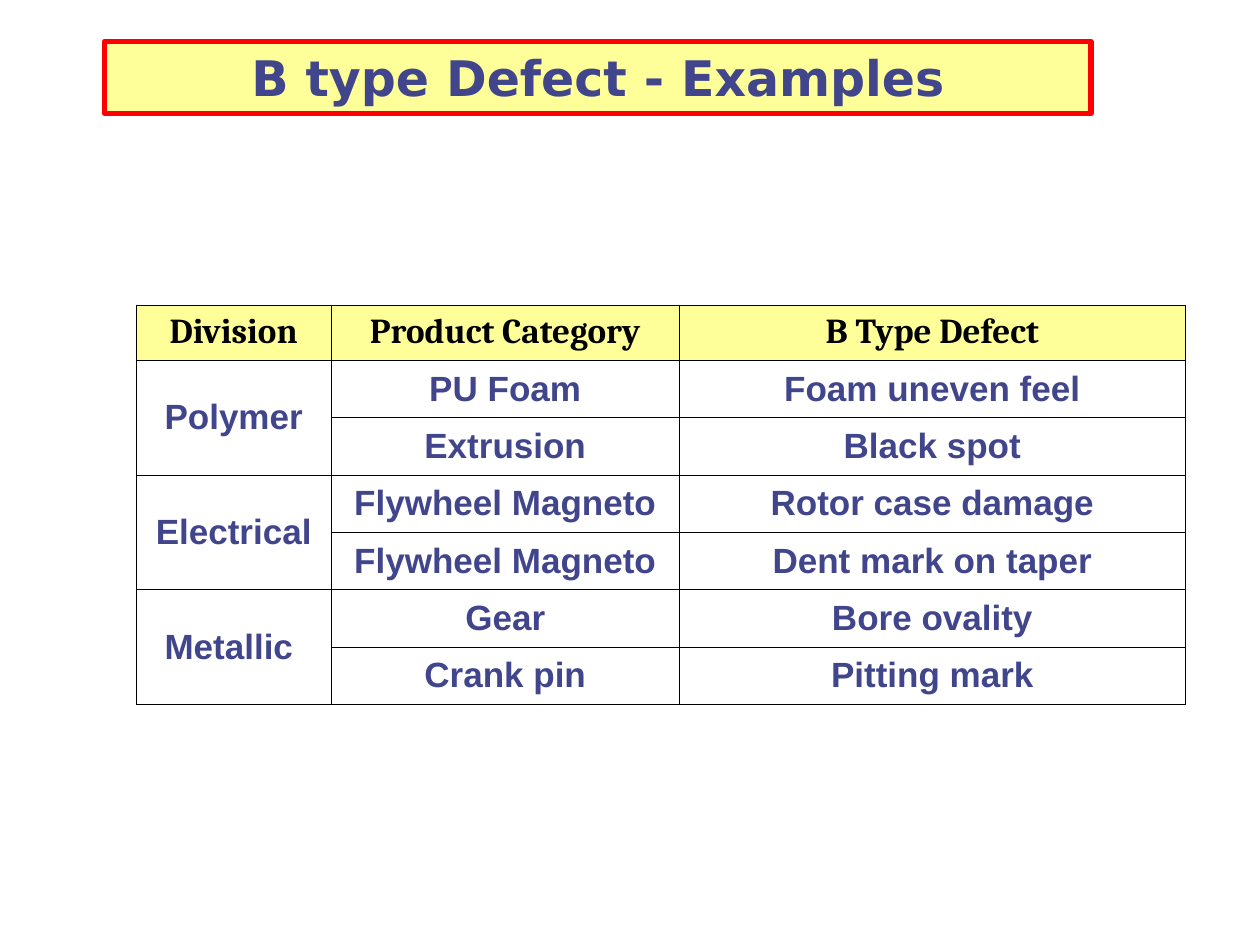
from lxml import etree
from pptx import Presentation
from pptx.dml.color import RGBColor
from pptx.enum.shapes import MSO_SHAPE
from pptx.enum.text import MSO_ANCHOR, MSO_AUTO_SIZE, PP_ALIGN
from pptx.oxml.ns import qn
from pptx.util import Inches, Pt

RECTANGLE = MSO_SHAPE.RECTANGLE
CENTER = PP_ALIGN.CENTER
TOP = MSO_ANCHOR.TOP
MIDDLE = MSO_ANCHOR.MIDDLE
GROW = MSO_AUTO_SIZE.SHAPE_TO_FIT_TEXT

BLACK = RGBColor(0x00, 0x00, 0x00)
RED = RGBColor(0xFF, 0x00, 0x00)
YELLOW = RGBColor(0xFF, 0xFF, 0x99)
INDIGO = RGBColor(0x40, 0x45, 0x8C)

HEADERS = ["Division", "Product Category", "B Type Defect"]
DIVISIONS = {
    "Polymer": [("PU Foam", "Foam uneven feel"), ("Extrusion", "Black spot")],
    "Electrical": [
        ("Flywheel Magneto", "Rotor case damage"),
        ("Flywheel Magneto", "Dent mark on taper"),
    ],
    "Metallic ": [("Gear", "Bore ovality"), ("Crank pin", "Pitting mark")],
}
COLUMN_WIDTHS = [Inches(1.55), Inches(2.76), Inches(4.02)]
HEADER_HEIGHT = Inches(0.44)
BODY_HEIGHT = Inches(2.73)


class DefectSlide:
    title_font = "DejaVu Sans"
    header_font = "Cambria"
    body_font = "Arial"
    title_size = Pt(28)
    table_size = Pt(20)
    border_width = Pt(0.23)

    def __init__(self, page):
        self.page = page

    def set_text(self, frame, text, font, size, color):
        frame.text = text
        para = frame.paragraphs[0]
        para.alignment = CENTER
        for span in para.runs:
            span.font.name = font
            span.font.size = size
            span.font.bold = True
            span.font.color.rgb = color

    def title(self, text, left, top, width, height):
        box = self.page.shapes.add_shape(RECTANGLE, left, top, width, height)
        box.shadow.inherit = False
        box.fill.solid()
        box.fill.fore_color.rgb = YELLOW
        box.line.color.rgb = RED
        box.line.width = Pt(3)
        frame = box.text_frame
        frame.word_wrap = True
        frame.auto_size = GROW
        frame.vertical_anchor = TOP
        self.set_text(frame, text, self.title_font, self.title_size, INDIGO)

    def border(self, cell):
        properties = cell._tc.get_or_add_tcPr()
        for side in ("lnL", "lnR", "lnT", "lnB"):
            line = etree.SubElement(
                properties, qn(f"a:{side}"), w=str(self.border_width)
            )
            fill = etree.SubElement(line, qn("a:solidFill"))
            etree.SubElement(fill, qn("a:srgbClr"), val=str(BLACK))

    def style_cell(self, cell, is_header):
        cell.margin_left = cell.margin_right = Inches(0.01)
        cell.margin_top = cell.margin_bottom = Inches(0.05)
        cell.vertical_anchor = MIDDLE
        self.border(cell)
        if is_header:
            cell.fill.solid()
            cell.fill.fore_color.rgb = YELLOW
        else:
            cell.fill.background()

    def table(self, headers, divisions, left, top):
        """Draw one merged division cell beside each group of defects."""
        body_count = sum(len(defects) for defects in divisions.values())
        table = self.page.shapes.add_table(
            body_count + 1, len(headers), left, top,
            sum(COLUMN_WIDTHS), HEADER_HEIGHT + BODY_HEIGHT,
        ).table
        for column, width in zip(table.columns, COLUMN_WIDTHS):
            column.width = width
        for index, row in enumerate(table.rows):
            row.height = BODY_HEIGHT // body_count if index else HEADER_HEIGHT
            for cell in row.cells:
                self.style_cell(cell, index == 0)

        for column, text in enumerate(headers):
            self.set_text(table.cell(0, column).text_frame, text,
                          self.header_font, self.table_size, BLACK)
        first = 1
        for division, defects in divisions.items():
            last = first + len(defects) - 1
            table.cell(first, 0).merge(table.cell(last, 0))
            entries = [(first, 0, division)]
            for row, names in enumerate(defects, first):
                entries += [(row, column, name) for column, name in enumerate(names, 1)]
            for row, column, text in entries:
                self.set_text(table.cell(row, column).text_frame, text,
                              self.body_font, self.table_size, INDIGO)
            first = last + 1


def main():
    deck = Presentation()
    deck.slide_width, deck.slide_height = Inches(10), Inches(7.5)
    slide = DefectSlide(deck.slides.add_slide(deck.slide_layouts[6]))
    slide.table(HEADERS, DIVISIONS, Inches(1.08), Inches(2.42))
    slide.title("B type Defect - Examples",
                Inches(0.83), Inches(0.33), Inches(7.83), Inches(0.57))
    deck.save("out.pptx")


if __name__ == "__main__":
    main()
